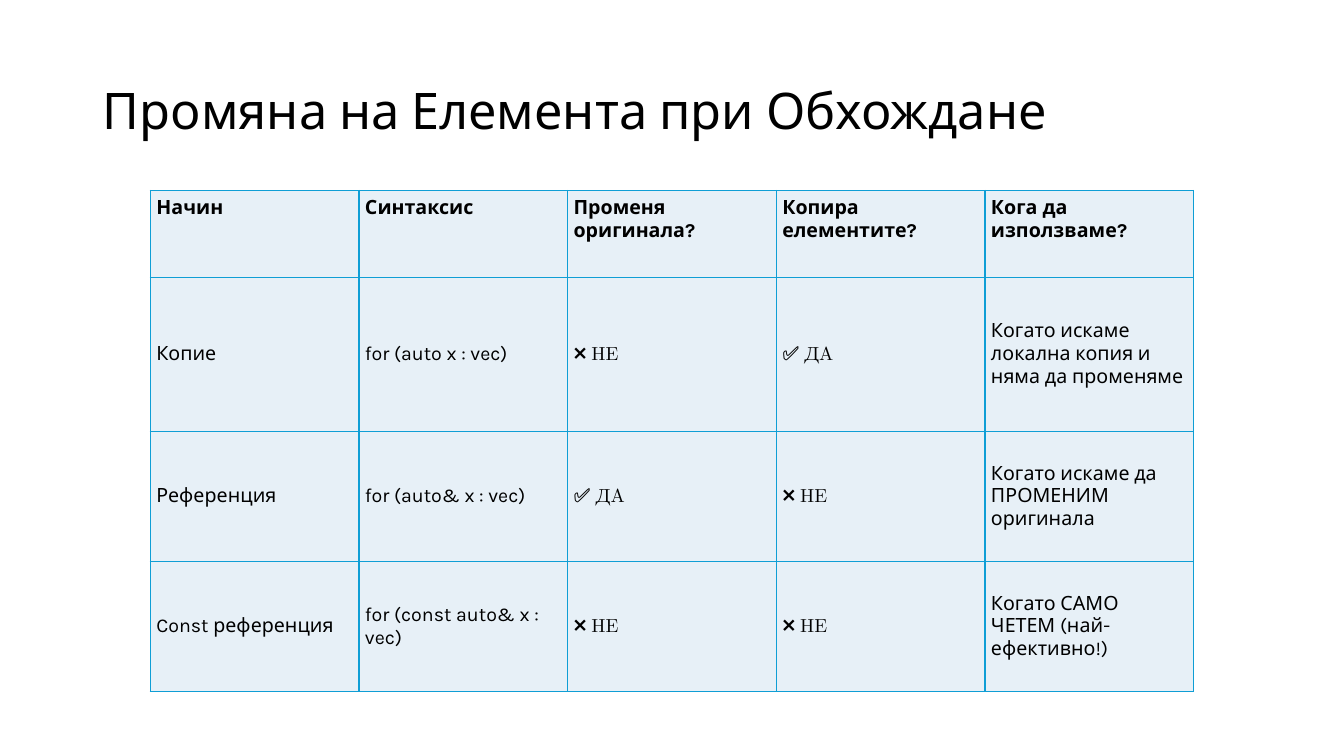
from lxml.etree import SubElement
from pptx import Presentation
from pptx.dml.color import RGBColor as Rgb
from pptx.enum.text import MSO_ANCHOR as Anchor, PP_ALIGN as Align
from pptx.oxml.ns import qn
from pptx.util import Inches, Pt

HUES = {"text": "000000", "cell": "E7F0F7", "edge": "0F9ED5"}
NO, YES = "❌ НЕ", "✅ ДА"
ROWS = [
    ["Начин", "Синтаксис", "Променя оригинала?", "Копира елементите?", "Кога да използваме?"],
    ["Копие", "for (auto x : vec)", NO, YES, "Когато искаме локална копия и няма да променяме"],
    ["Референция", "for (auto& x : vec)", YES, NO, "Когато искаме да ПРОМЕНИМ оригинала"],
    ["Const референция", "for (const auto& x : vec)", NO, NO, "Когато САМО ЧЕТЕМ (най-ефективно!)"],
]
TALL = [0.86, 1.53, 1.29, 1.29]
WIDE = 2.07


class Deck:
    """Hold the style and the current slide."""

    def __init__(self, font):
        self.font = font
        self.file = Presentation()
        self.file.slide_width, self.file.slide_height = Inches(13.33), Inches(7.5)
        self.slide = self.file.slides.add_slide(self.file.slide_layouts[5])

    def add_text(self, para, text, size, bold=False):
        """Add one styled run to a paragraph."""
        run = para.add_run()
        run.text = text
        run.font.name, run.font.size, run.font.bold = self.font, Pt(size), bold
        run.font.color.rgb = Rgb.from_string(HUES["text"])

    def title(self, text, left, top, width, height):
        """Place and fill the title."""
        head = self.slide.shapes.title
        head.left, head.top = Inches(left), Inches(top)
        head.width, head.height = Inches(width), Inches(height)
        frame = head.text_frame
        frame.word_wrap, frame.vertical_anchor = True, Anchor.MIDDLE
        para = frame.paragraphs[0]
        para.alignment, para.line_spacing = Align.LEFT, 0.9
        self.add_text(para, text, 36)

    def edge(self, cell):
        """Draw the four borders of a cell."""
        props = cell._tc.get_or_add_tcPr()
        for side in ("lnL", "lnR", "lnT", "lnB"):
            line = SubElement(props, qn(f"a:{side}"), w=str(Pt(1)))
            fill = SubElement(line, qn("a:solidFill"))
            SubElement(fill, qn("a:srgbClr"), val=HUES["edge"])

    def cell(self, cell, text, head):
        """Style and fill one table cell."""
        self.edge(cell)
        cell.fill.solid()
        cell.fill.fore_color.rgb = Rgb.from_string(HUES["cell"])
        cell.vertical_anchor = Anchor.TOP if head else Anchor.MIDDLE
        cell.margin_left = cell.margin_right = Inches(0.06)
        cell.margin_top = cell.margin_bottom = Inches(0.06 if head else 0.04)
        self.add_text(cell.text_frame.paragraphs[0], text, 14, head)

    def table(self, rows, left, top, wide, tall):
        """Add a table with equal columns."""
        count = len(rows[0])
        grid = self.slide.shapes.add_table(
            len(rows), count, Inches(left), Inches(top),
            Inches(wide * count), Inches(sum(tall))).table
        for col in grid.columns:
            col.width = Inches(wide)
        for r, texts in enumerate(rows):
            grid.rows[r].height = Inches(tall[r])
            for c, text in enumerate(texts):
                self.cell(grid.cell(r, c), text, r == 0)


def main():
    deck = Deck("Karla")
    deck.title("Промяна на Елемента при Обхождане", 0.92, 0.4, 11.5, 1.45)
    deck.table(ROWS, 1.49, 1.89, WIDE, TALL)
    deck.file.save("out.pptx")


if __name__ == "__main__":
    main()
